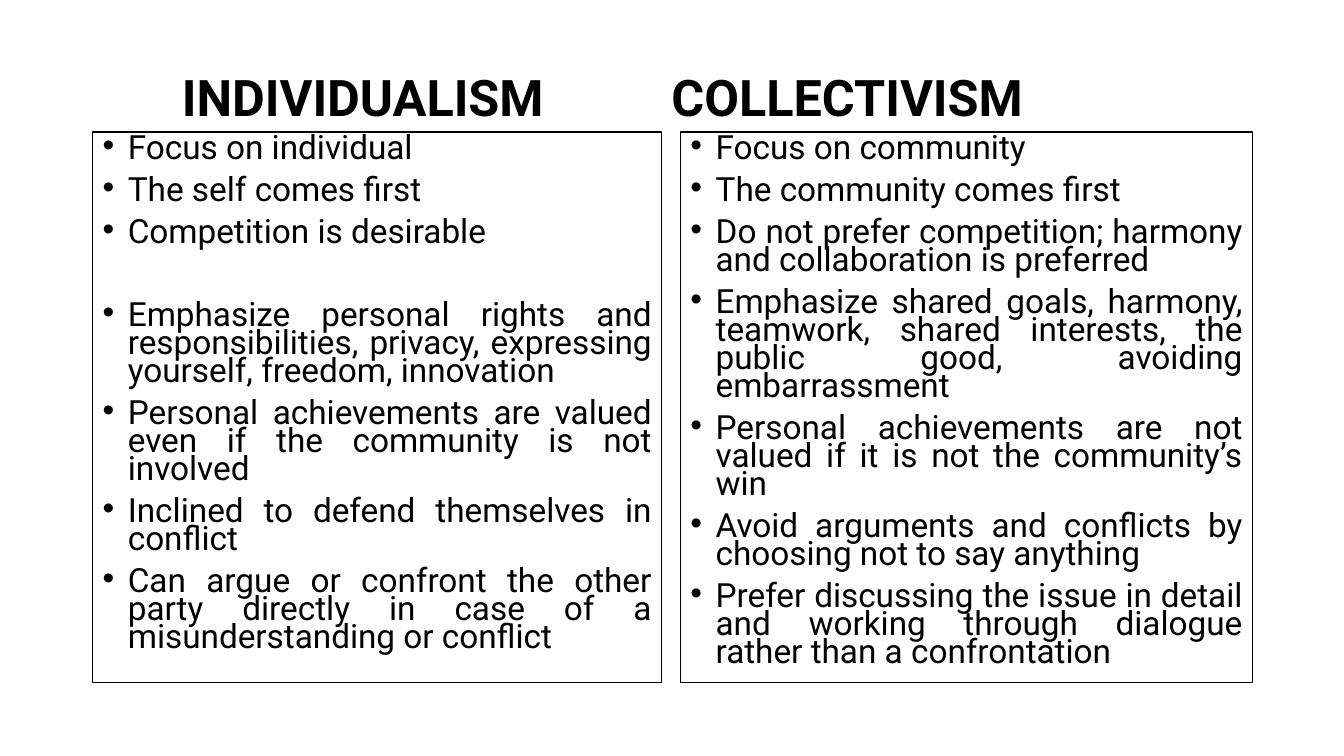
from dataclasses import dataclass

from lxml.etree import SubElement
from pptx import Presentation
from pptx.dml.color import RGBColor
from pptx.enum.shapes import MSO_SHAPE as Shape
from pptx.enum.text import MSO_ANCHOR as Anchor, PP_ALIGN as Align
from pptx.oxml.ns import qn
from pptx.util import Inches, Pt

FONT = "Roboto"
COLORS = {"ink": "000000", "paper": "FFFFFF"}
HEADING_TOP, HEADING_HEIGHT = 0.41, 0.9
LIST_TOP, LIST_HEIGHT = 1.31, 5.46
HEADING_SIZE, POINT_SIZE = 36, 23.8
POINT_GAP = 10
SECTION_GAP = 39.5  # one empty line plus the gaps around it
INDENT = 0.25


@dataclass(frozen=True)
class Column:
    heading: str
    heading_left: float
    heading_align: Align
    list_left: float
    width: float
    points: tuple[str, ...]
    section_start: int | None = None  # index of the point after the wide gap


COLUMNS = (
    Column(
        "INDIVIDUALISM", 0.78, Align.CENTER, 0.92, 5.64,
        (
            "Focus on individual",
            "The self comes first",
            "Competition is desirable",
            "Emphasize personal rights and responsibilities, privacy, "
            "expressing yourself, freedom, innovation",
            "Personal achievements are valued even if the community is not involved",
            "Inclined to defend themselves in conflict",
            "Can argue or confront the other party directly in case of "
            "a misunderstanding or conflict",
        ),
        section_start=3,
    ),
    Column(
        "COLLECTIVISM", 6.56, Align.LEFT, 6.75, 5.67,
        (
            "Focus on community",
            "The community comes first",
            "Do not prefer competition; harmony and collaboration is preferred",
            "Emphasize shared goals, harmony, teamwork, shared interests, "
            "the public good, avoiding embarrassment",
            "Personal achievements are not valued if it is not the community’s win",
            "Avoid arguments and conflicts by choosing not to say anything",
            "Prefer discussing the issue in detail and working through dialogue "
            "rather than a confrontation",
        ),
    ),
)


def color(name: str) -> RGBColor:
    return RGBColor.from_string(COLORS[name])


def style_runs(paragraph, size: float, bold: bool = False) -> None:
    for run in paragraph.runs:
        run.font.name = FONT
        run.font.size = Pt(size)
        run.font.bold = bold
        run.font.color.rgb = color("ink")


def add_bullet(paragraph) -> None:
    """Give the paragraph a round bullet with a hanging indent."""
    properties = paragraph._p.get_or_add_pPr()
    properties.set("marL", str(Inches(INDENT)))
    properties.set("indent", str(-Inches(INDENT)))
    SubElement(properties, qn("a:buFont"), typeface="Arial")
    SubElement(properties, qn("a:buChar"), char="•")


def draw_heading(slide, column: Column) -> None:
    heading = slide.shapes.add_textbox(
        Inches(column.heading_left), Inches(HEADING_TOP),
        Inches(column.width), Inches(HEADING_HEIGHT),
    )
    frame = heading.text_frame
    frame.word_wrap = True
    frame.vertical_anchor = Anchor.BOTTOM
    paragraph = frame.paragraphs[0]
    paragraph.text = column.heading
    paragraph.alignment = column.heading_align
    paragraph.line_spacing = 0.9
    style_runs(paragraph, HEADING_SIZE, bold=True)


def draw_points(slide, column: Column) -> None:
    panel = slide.shapes.add_shape(
        Shape.RECTANGLE, Inches(column.list_left), Inches(LIST_TOP),
        Inches(column.width), Inches(LIST_HEIGHT),
    )
    panel.shadow.inherit = False
    panel.fill.background()
    panel.line.color.rgb = color("ink")
    panel.line.width = Pt(0.75)

    frame = panel.text_frame
    frame.word_wrap = True
    frame.vertical_anchor = Anchor.TOP
    frame.text = "\n".join(column.points)
    for index, paragraph in enumerate(frame.paragraphs):
        paragraph.alignment = Align.JUSTIFY
        paragraph.line_spacing = 0.7
        if index:
            gap = SECTION_GAP if index == column.section_start else POINT_GAP
            paragraph.space_before = Pt(gap)
        add_bullet(paragraph)
        style_runs(paragraph, POINT_SIZE)


def main() -> None:
    deck = Presentation()
    deck.slide_width, deck.slide_height = Inches(13.33), Inches(7.5)
    slide = deck.slides.add_slide(deck.slide_layouts[6])
    slide.background.fill.solid()
    slide.background.fill.fore_color.rgb = color("paper")
    for column in COLUMNS:
        draw_heading(slide, column)
        draw_points(slide, column)
    deck.save("out.pptx")


if __name__ == "__main__":
    main()
